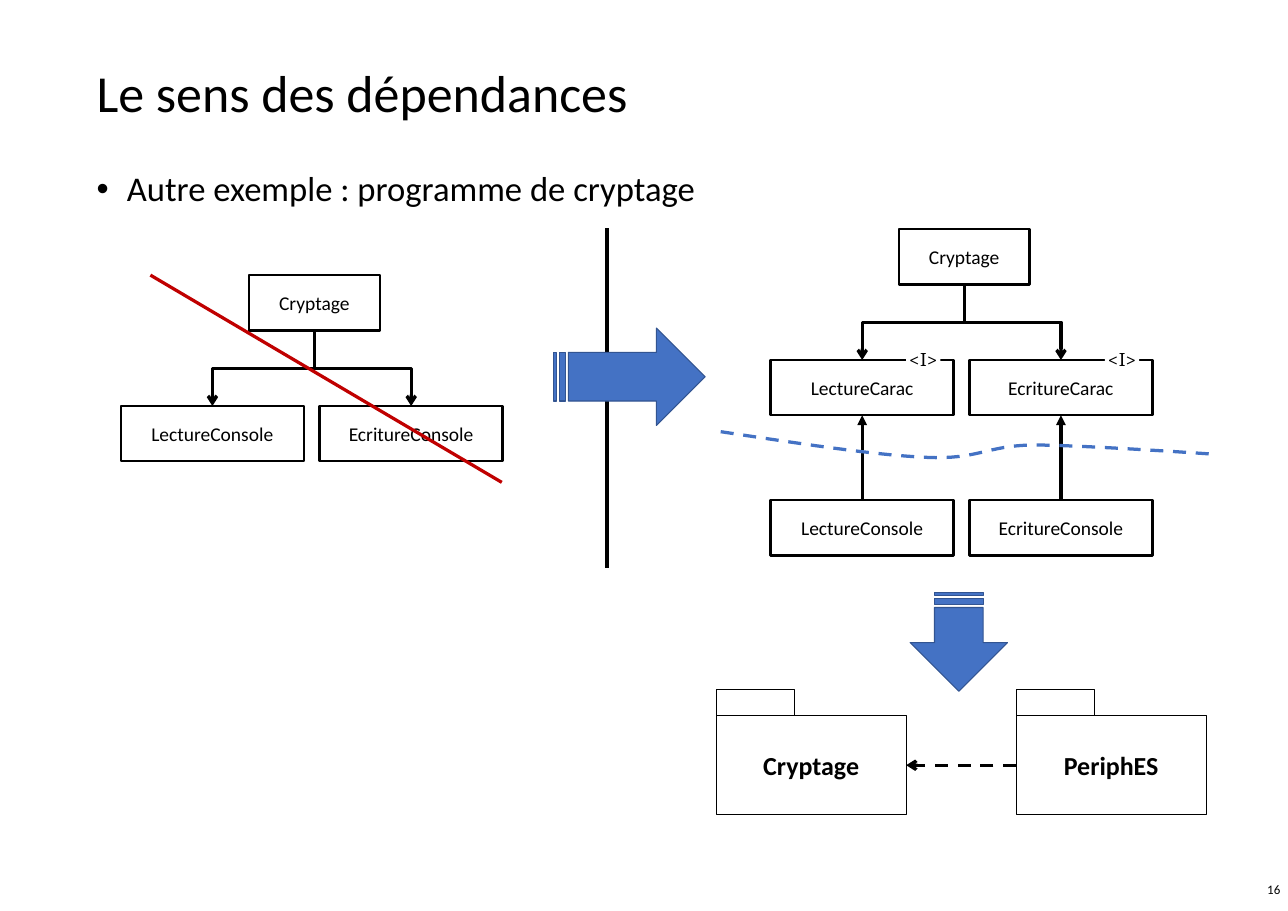
from lxml.etree import SubElement
from pptx import Presentation
from pptx.dml.color import RGBColor
from pptx.enum.dml import MSO_LINE as Dash
from pptx.enum.shapes import MSO_CONNECTOR as Connector, MSO_SHAPE as Shape
from pptx.enum.text import MSO_ANCHOR as Anchor, PP_ALIGN as Align
from pptx.oxml.ns import qn
from pptx.util import Inches, Pt

WIDTH, HEIGHT = Inches(16.53), Inches(11.69)
BLACK, WHITE, BLUE, DARK_BLUE, RED = "000000", "FFFFFF", "4472C4", "325491", "C00000"
BOX_HEIGHT, LEAF_WIDTH, LEAF_PITCH = 6.07, 14.22, 15.43
ROOT_LEFT, ROOT_WIDTH, LEVEL_DROP = 9.95, 10.16, 14.37
CONSOLE_NAMES = ["LectureConsole", "EcritureConsole"]


def x(columns):
    """Turn hundredths of the slide width into a length."""
    return round(WIDTH * columns / 100)


def y(rows):
    """Turn hundredths of the slide height into a length."""
    return round(HEIGHT * rows / 100)


def place(left, top, width, height):
    """Turn a grid rectangle into lengths."""
    return x(left), y(top), x(width), y(height)


def color(value):
    """Read a hex colour."""
    return RGBColor.from_string(value)


def apply(target, values):
    """Set each attribute named in a dict."""
    for name, value in values.items():
        setattr(target, name, value)


def write(shape, text, size, frame=None, layout=None, name="Calibri", bold=False, bullet=False):
    """Put one formatted paragraph in a shape."""
    apply(shape.text_frame, {"word_wrap": True, "vertical_anchor": Anchor.MIDDLE, **(frame or {})})
    paragraph = shape.text_frame.paragraphs[0]
    if bullet:
        properties = paragraph._p.get_or_add_pPr()
        apply_indent = {"marL": Inches(0.39), "indent": -Inches(0.39)}
        for key, value in apply_indent.items():
            properties.set(key, str(value))
        SubElement(properties, qn("a:buFont"), typeface="Arial")
        SubElement(properties, qn("a:buChar"), char="•")
    apply(paragraph, layout or {"alignment": Align.CENTER})
    run = paragraph.add_run()
    run.text = text
    apply(run.font, {"name": name, "size": Pt(size), "bold": bold})
    run.font.color.rgb = color(BLACK)


def add_text(slide, area, text, size, **options):
    """Add a text box."""
    write(slide.shapes.add_textbox(*place(*area)), text, size, **options)


def add_box(slide, area, kind=Shape.RECTANGLE, fill=WHITE, line=BLACK, weight=1.0):
    """Add a filled shape, outlined when a line colour is given."""
    shape = slide.shapes.add_shape(kind, *place(*area))
    shape.shadow.inherit = False
    shape.fill.solid()
    shape.fill.fore_color.rgb = color(fill)
    if line:
        shape.line.color.rgb = color(line)
        shape.line.width = Pt(weight)
    else:
        shape.line.fill.background()
    return shape


def add_class(slide, left, top, width, text):
    """Add a class box with its name."""
    write(add_box(slide, (left, top, width, BOX_HEIGHT), weight=2.25), text, 18)


def add_line(slide, start, end, line=BLACK, dash=None, head=None, kind=Connector.STRAIGHT):
    """Add a connector with an optional dash and arrowhead."""
    connector = slide.shapes.add_connector(kind, x(start[0]), y(start[1]), x(end[0]), y(end[1]))
    connector.line.color.rgb = color(line)
    apply(connector.line, {"width": Pt(3), "dash_style": dash})
    if head:
        SubElement(connector.line._get_or_add_ln(), qn("a:tailEnd"), type=head)
    SubElement(connector._element.spPr, qn("a:effectLst"))
    return connector


def add_branch(slide, start, end):
    """Add an elbow arrow that leaves downwards and arrives downwards."""
    connector = add_line(slide, start, end, head="arrow", kind=Connector.ELBOW)
    across, down = connector.width, connector.height
    shift = (across - down) // 2
    apply(connector, {"left": connector.left + shift, "top": connector.top - shift,
                      "width": down, "height": across})
    transform = connector._element.spPr.find(qn("a:xfrm"))
    rightward = end[0] > start[0]
    transform.set("rot", str((270 if rightward else 90) * 60000))
    transform.set("flipH", "1" if rightward else "0")


def add_leaves(slide, left, top, names):
    """Add a row of class boxes and return their centre columns."""
    lefts = [left + LEAF_PITCH * index for index in range(len(names))]
    for leaf_left, name in zip(lefts, names):
        add_class(slide, leaf_left, top, LEAF_WIDTH, name)
    return [leaf_left + LEAF_WIDTH / 2 for leaf_left in lefts]


def add_tree(slide, left, top, names):
    """Add the Cryptage class above the classes it depends on."""
    add_class(slide, left + ROOT_LEFT, top, ROOT_WIDTH, "Cryptage")
    leaf_top = top + LEVEL_DROP
    root = (left + ROOT_LEFT + ROOT_WIDTH / 2, top + BOX_HEIGHT)
    centers = add_leaves(slide, left, leaf_top, names)
    for center in centers:
        add_branch(slide, root, (center, leaf_top))
    return centers


def add_interface_mark(slide, center, leaf_top):
    """Add the interface tag on the upper edge of a class box."""
    mark = add_box(slide, (center + 3.42, leaf_top - 1.45, 2.66, 2.57), line=None)
    margins = dict.fromkeys(["margin_left", "margin_top", "margin_right", "margin_bottom"], 0)
    write(mark, "<I>", 18, frame={**margins, "vertical_anchor": Anchor.TOP}, name="Cambria")


def add_package(slide, left, text):
    """Add a package symbol: a named body below a tab."""
    write(add_box(slide, (left, 78.53, 14.76, 10.86)), text, 24, bold=True)
    add_box(slide, (left, 75.71, 6.11, 2.82), Shape.FLOWCHART_PROCESS)


def bezier(points, share):
    """Find a point on a cubic curve."""
    weights = [(1 - share) ** 3, 3 * share * (1 - share) ** 2,
               3 * share ** 2 * (1 - share), share ** 3]
    column, row = (sum(w * v for w, v in zip(weights, axis)) for axis in zip(*points))
    return x(column), y(row)


def add_boundary(slide, points, steps=16):
    """Add the dashed curve through joined cubic segments."""
    builder = slide.shapes.build_freeform(x(points[0][0]), y(points[0][1]))
    builder.add_line_segments(
        [bezier(points[first:first + 4], step / steps)
         for first in range(0, len(points) - 1, 3) for step in range(1, steps + 1)],
        close=False)
    curve = builder.convert_to_shape()
    curve.shadow.inherit = False
    curve.fill.background()
    curve.line.color.rgb = color(BLUE)
    apply(curve.line, {"width": Pt(3), "dash_style": Dash.DASH})


def main():
    """Build the slide and save it."""
    presentation = Presentation()
    apply(presentation, {"slide_width": WIDTH, "slide_height": HEIGHT})
    slide = presentation.slides.add_slide(presentation.slide_layouts[6])

    add_text(slide, (6.9, 5.3, 86.27, 10.44), "Le sens des dépendances", 48,
             layout={"line_spacing": 0.9})
    add_text(slide, (6.9, 18.39, 86.27, 71.69), "Autre exemple : programme de cryptage", 32,
             frame={"vertical_anchor": Anchor.TOP}, layout={"line_spacing": 0.9}, bullet=True)
    add_text(slide, (77.5, 94.95, 22.5, 5.3), "16", 12, layout={"alignment": Align.RIGHT})

    add_tree(slide, 9.38, 30.2, CONSOLE_NAMES)
    left, top = 59.83, 25.15
    leaf_top, console_top = top + LEVEL_DROP, top + 29.77
    centers = add_tree(slide, left, top, ["LectureCarac", "EcritureCarac"])
    add_leaves(slide, left, console_top, CONSOLE_NAMES)
    for center in centers:
        add_interface_mark(slide, center, leaf_top)
        add_line(slide, (center, console_top), (center, leaf_top + BOX_HEIGHT), head="triangle")

    add_boundary(slide, [(55.96, 47.39), (61.95, 48.67), (67.88, 49.96), (71.93, 50.21),
                         (75.98, 50.47), (76.53, 48.93), (80.22, 48.85),
                         (83.97, 48.85), (94.31, 49.87), (94.31, 49.87)])
    add_line(slide, (47.13, 25.06), (47.13, 62.36))
    add_box(slide, (42.95, 36.01, 11.8, 10.69), Shape.STRIPED_RIGHT_ARROW, BLUE, DARK_BLUE)
    down_arrow = add_box(slide, (70.6, 65.1, 7.68, 10.69), Shape.STRIPED_RIGHT_ARROW,
                         BLUE, DARK_BLUE)
    down_arrow.rotation = 90

    add_package(slide, 55.6, "Cryptage")
    add_package(slide, 78.89, "PeriphES")
    add_line(slide, (78.89, 84), (70.36, 84), dash=Dash.DASH, head="arrow")
    add_line(slide, (11.68, 30.2), (38.96, 52.95), line=RED)
    presentation.save("out.pptx")


if __name__ == "__main__":
    main()
